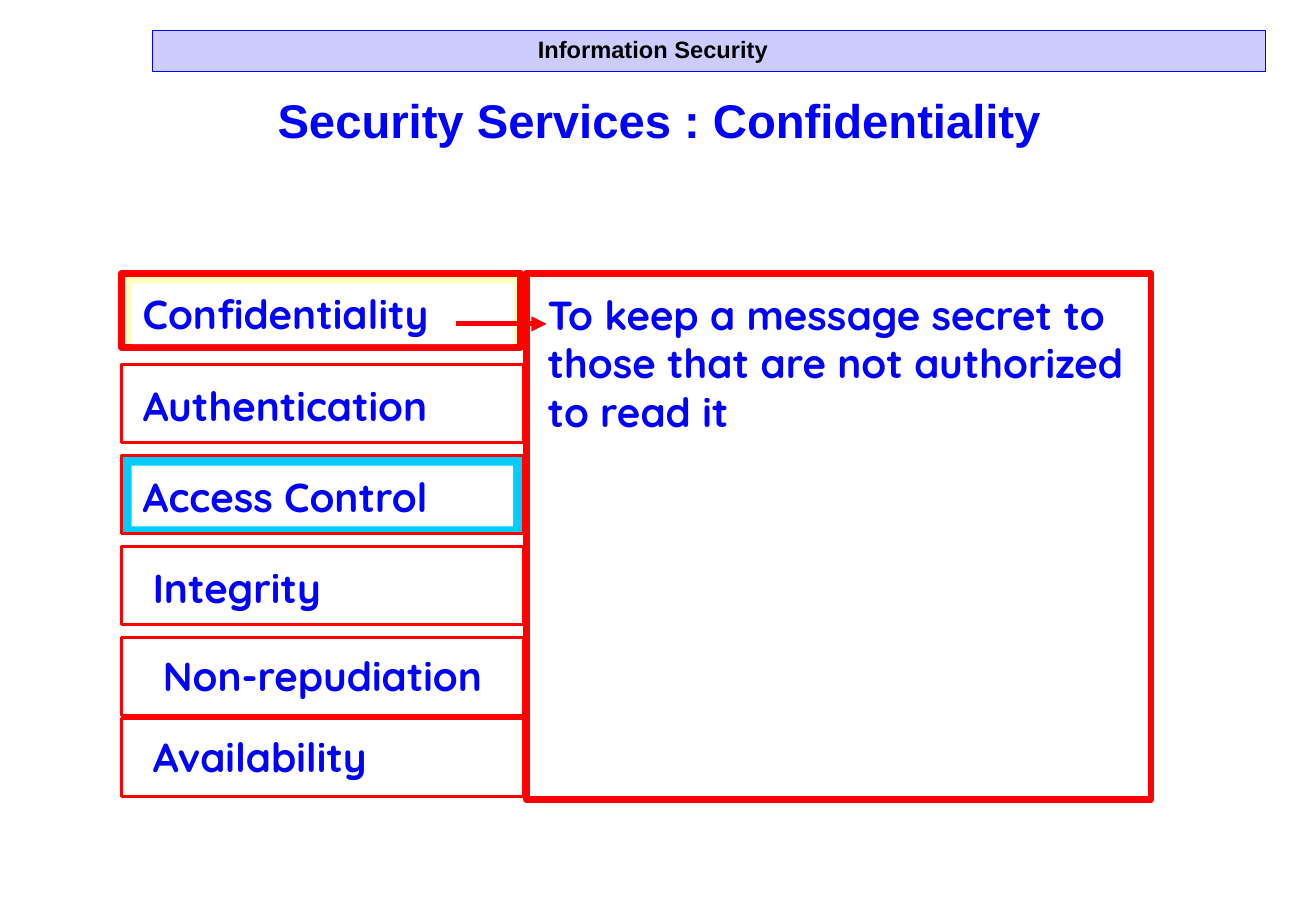
from pptx import Presentation
from pptx.dml.color import RGBColor
from pptx.enum.shapes import MSO_CONNECTOR as Link, MSO_SHAPE as Form
from pptx.enum.text import MSO_ANCHOR as Anchor, MSO_AUTO_SIZE as Fit, PP_ALIGN as Align
from pptx.oxml.ns import qn
from pptx.util import Inches, Pt
from lxml.etree import SubElement

BLUE = RGBColor(0, 0, 255)
RED = RGBColor(255, 0, 0)
BLACK = RGBColor(0, 0, 0)
WHITE = RGBColor(255, 255, 255)
LILAC = RGBColor(204, 204, 255)
CREAM = RGBColor(252, 254, 185)
CYAN = RGBColor(0, 204, 255)

COLS, ROWS = 130, 90
LEFT, DROP = 2.1, 1.6
SERVICES = [
    ("Confidentiality", 27, 39.4, 7.3, CREAM, 4, LEFT, DROP, Align.LEFT),
    ("Authentication", 36, 39.7, 7.7, WHITE, 2, LEFT, DROP, Align.LEFT),
    ("Access Control", 45, 39.7, 7.7, CYAN, 2, LEFT, DROP, Align.LEFT),
    ("Integrity", 54, 39.7, 7.7, WHITE, 2, 3.1, DROP, Align.LEFT),
    ("Non-repudiation", 63, 39.7, 7.7, WHITE, 2, 0, 1.3, Align.CENTER),
    ("Availability", 71, 39.7, 7.7, WHITE, 2, 3.1, 1.3, Align.LEFT),
]
MEANING = ["To keep a message secret to", "those that are not authorized", "to read it"]


def grid(*units):
    return [Inches(unit / 12) for unit in units]


def rect(slide, box, fill, edge=None, width=0):
    shape = slide.shapes.add_shape(Form.RECTANGLE, *grid(*box))
    shape.shadow.inherit = False
    shape.fill.solid()
    shape.fill.fore_color.rgb = fill
    if edge is None:
        shape.line.fill.background()
    else:
        shape.line.color.rgb = edge
        shape.line.width = Pt(width)
    return shape


def write(shape, lines, size, color, face, align, anchor, pads, space=None):
    frame = shape.text_frame
    frame.word_wrap = True
    frame.auto_size = Fit.NONE
    frame.vertical_anchor = anchor
    (frame.margin_left, frame.margin_top,
     frame.margin_right, frame.margin_bottom) = grid(*pads)
    frame.text = "\n".join(lines)
    for para in frame.paragraphs:
        para.alignment = align
        para.line_spacing = space
        para.font.size = Pt(size)
        para.font.name = face
        para.font.bold = True
        para.font.color.rgb = color


def header(slide, box):
    band = rect(slide, box, LILAC, BLUE, 0.25)
    write(band, ["Information Security"], 14, BLACK, "Arial", Align.CENTER,
          Anchor.MIDDLE, (1.2, 0.6, 12.2, 0.6), 0.9)


def heading(slide, box):
    title = slide.shapes.title
    title.left, title.top, title.width, title.height = grid(*box)
    write(title, ["Security Services : Confidentiality"], 28, BLUE, "Arial",
          Align.CENTER, Anchor.TOP, (1.2, 0.6, 1.2, 0.6), 0.9)


def label(shape, lines, left, drop, align=Align.LEFT):
    write(shape, lines, 24, BLUE, "Quicksand", align, Anchor.TOP, (left, drop, 0, 0))


def panel(slide, box):
    label(rect(slide, box, WHITE, RED, 4), MEANING, LEFT, DROP)


def service(slide, box, name, fill, width, left, drop, align):
    x, y, _, _ = box
    shape = rect(slide, box, fill, RED, width)
    if fill != WHITE:
        shape = rect(slide, (x + 1, y + 1, 37.7, 6), WHITE)
        left, drop = left - 1, drop - 1
    label(shape, [name], left, drop, align)


def arrow(slide, ends):
    link = slide.shapes.add_connector(Link.STRAIGHT, *grid(*ends))
    link.line.color.rgb = RED
    link.line.width = Pt(3)
    SubElement(link.line._get_or_add_ln(), qn("a:tailEnd"), type="triangle")
    SubElement(link._element.spPr, qn("a:effectLst"))


def main():
    deck = Presentation()
    deck.slide_width, deck.slide_height = grid(COLS, ROWS)
    slide = deck.slides.add_slide(deck.slide_layouts[5])
    header(slide, (15, 3, 110, 4))
    heading(slide, (6.6, 9, 117, 10))
    panel(slide, (52, 27, 61.7, 52))
    for name, top, wide, high, *style in SERVICES:
        service(slide, (12, top, wide, high), name, *style)
    arrow(slide, (45, 32, 54, 32))
    deck.save("out.pptx")


if __name__ == "__main__":
    main()
